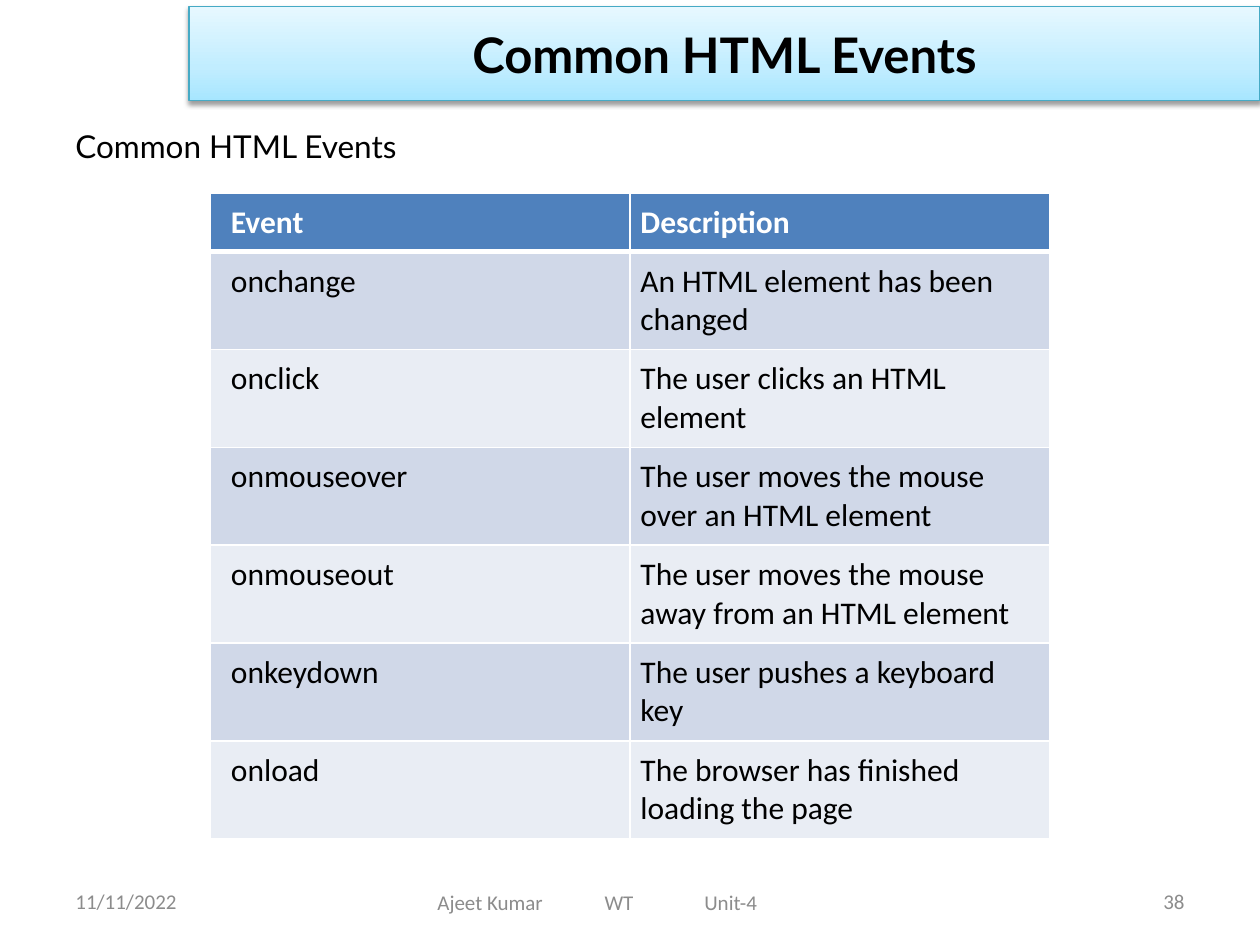
from dataclasses import dataclass

from lxml.etree import SubElement
from pptx import Presentation
from pptx.dml.color import RGBColor
from pptx.enum.shapes import MSO_SHAPE
from pptx.enum.text import MSO_ANCHOR, PP_ALIGN
from pptx.oxml import parse_xml
from pptx.oxml.ns import nsdecls, qn
from pptx.util import Pt

COLORS = {
    "black": "000000", "white": "FFFFFF", "gray": "8C8C8C",
    "header": "4F81BD", "band_dark": "D0D8E8", "band_light": "E9EDF4",
    "title_line": "46AAC5",
}
TITLE_STOPS = [(0, "A7E6FF"), (35, "C1EDFF"), (100, "E7F8FF")]
EVENTS = [
    ("Event", "Description"),
    ("onchange", "An HTML element has been changed"),
    ("onclick", "The user clicks an HTML element"),
    ("onmouseover", "The user moves the mouse over an HTML element"),
    ("onmouseout", "The user moves the mouse away from an HTML element"),
    ("onkeydown", "The user pushes a keyboard key"),
    ("onload", "The browser has finished loading the page"),
]
HEADER_H, ROW_H, COL_W = 33.4, 55.9, 240


@dataclass
class Label:
    text: str
    left: float
    top: float
    width: float
    height: float
    font: dict
    align: PP_ALIGN = PP_ALIGN.LEFT
    anchor: MSO_ANCHOR = MSO_ANCHOR.MIDDLE
    inset: float = 7.2
    tabs: tuple = ()


def rgb(name: str) -> RGBColor:
    return RGBColor.from_string(COLORS[name])


def font_format(name: str, size: float, color: str, bold: bool = False) -> dict:
    return {"name": name, "size": Pt(size), "bold": bold, "color": color}


def set_text(tf, text: str, font: dict, align=PP_ALIGN.LEFT, tabs=()) -> None:
    p = tf.paragraphs[0]
    p.alignment = align
    if tabs:
        tab_list = SubElement(p._p.get_or_add_pPr(), qn("a:tabLst"))
        for pos in tabs:
            SubElement(tab_list, qn("a:tab"), pos=str(Pt(pos)), algn="l")
    r = p.add_run()
    r.text = text
    for key, value in font.items():
        if key == "color":
            r.font.color.rgb = rgb(value)
        else:
            setattr(r.font, key, value)


def add_label(s, label: Label) -> None:
    sp = s.shapes.add_textbox(Pt(label.left), Pt(label.top),
                              Pt(label.width), Pt(label.height))
    tf = sp.text_frame
    tf.word_wrap = True
    tf.vertical_anchor = label.anchor
    tf.margin_left = Pt(label.inset)
    set_text(tf, label.text, label.font, label.align, label.tabs)


def add_title(s, text: str) -> None:
    sp = s.shapes.add_shape(MSO_SHAPE.RECTANGLE, Pt(108), Pt(3.6), Pt(612), Pt(54))
    sp.line.color.rgb = rgb("title_line")
    sp.line.width = Pt(0.75)
    sp.fill.gradient()
    sp.fill.gradient_angle = 90
    sp.shadow.inherit = False
    spPr = sp._element.spPr
    stops = spPr.find(".//" + qn("a:gsLst"))
    for stop in list(stops):
        stops.remove(stop)
    for pos, color in TITLE_STOPS:
        stop = SubElement(stops, qn("a:gs"), pos=str(pos * 1000))
        SubElement(stop, qn("a:srgbClr"), val=color)
    shadow = SubElement(spPr.find(qn("a:effectLst")), qn("a:outerShdw"),
                        blurRad=str(Pt(3.1)), dist=str(Pt(1.6)),
                        dir="5400000", rotWithShape="0")
    tint = SubElement(shadow, qn("a:srgbClr"), val=COLORS["black"])
    SubElement(tint, qn("a:alpha"), val="38000")
    sp.text_frame.word_wrap = True
    sp.text_frame.vertical_anchor = MSO_ANCHOR.MIDDLE
    set_text(sp.text_frame, text, font_format("Lato", 28, "black", True),
             PP_ALIGN.CENTER)


def set_borders(cell, widths: dict) -> None:
    """Draw white borders; widths maps side letters, in L R T B order, to points."""
    tcPr = cell._tc.get_or_add_tcPr()
    for i, (side, width) in enumerate(widths.items()):
        tcPr.insert(i, parse_xml(
            f'<a:ln{side} {nsdecls("a")} w="{Pt(width)}"><a:solidFill>'
            f'<a:srgbClr val="{COLORS["white"]}"/></a:solidFill></a:ln{side}>'))


def add_event_table(s) -> None:
    height = HEADER_H + ROW_H * (len(EVENTS) - 1)
    table = s.shapes.add_table(len(EVENTS), 2, Pt(120), Pt(110.2),
                               Pt(2 * COL_W), Pt(height)).table
    table.horz_banding = False
    for i, row in enumerate(EVENTS):
        is_header = i == 0
        table.rows[i].height = Pt(HEADER_H if is_header else ROW_H)
        fill = "header" if is_header else ("band_light", "band_dark")[i % 2]
        font = font_format("Calibri", 18, "white" if is_header else "black", is_header)
        for j, text in enumerate(row):
            cell = table.cell(i, j)
            cell.fill.solid()
            cell.fill.fore_color.rgb = rgb(fill)
            cell.margin_left = Pt(6 if j else 12)
            cell.margin_top = cell.margin_right = cell.margin_bottom = Pt(6)
            set_text(cell.text_frame, text, font)
            set_borders(cell, {"L": 1, "R": 1, "T": 3 if i == 1 else 1,
                               "B": 3 if is_header else 1})


def main() -> None:
    prs = Presentation()
    prs.slide_width, prs.slide_height = Pt(720), Pt(540)
    s = prs.slides.add_slide(prs.slide_layouts[6])
    footer = font_format("Calibri", 12, "gray")
    labels = [
        Label("Common HTML Events", 36, 69.1, 648, 416.9,
              font_format("Lato", 18, "black"), anchor=MSO_ANCHOR.TOP),
        Label("11/11/2022", 36, 500.5, 168, 28.75, footer),
        Label("38", 516, 500.5, 168, 28.75, footer, PP_ALIGN.RIGHT),
        Label("Ajeet Kumar\tWT\tUnit-4", 144, 501.1, 396, 28.75, footer,
              inset=106, tabs=(95.5, 152.5)),
    ]
    for label in labels:
        add_label(s, label)
    add_title(s, "Common HTML Events")
    add_event_table(s)
    prs.save("out.pptx")


if __name__ == "__main__":
    main()
